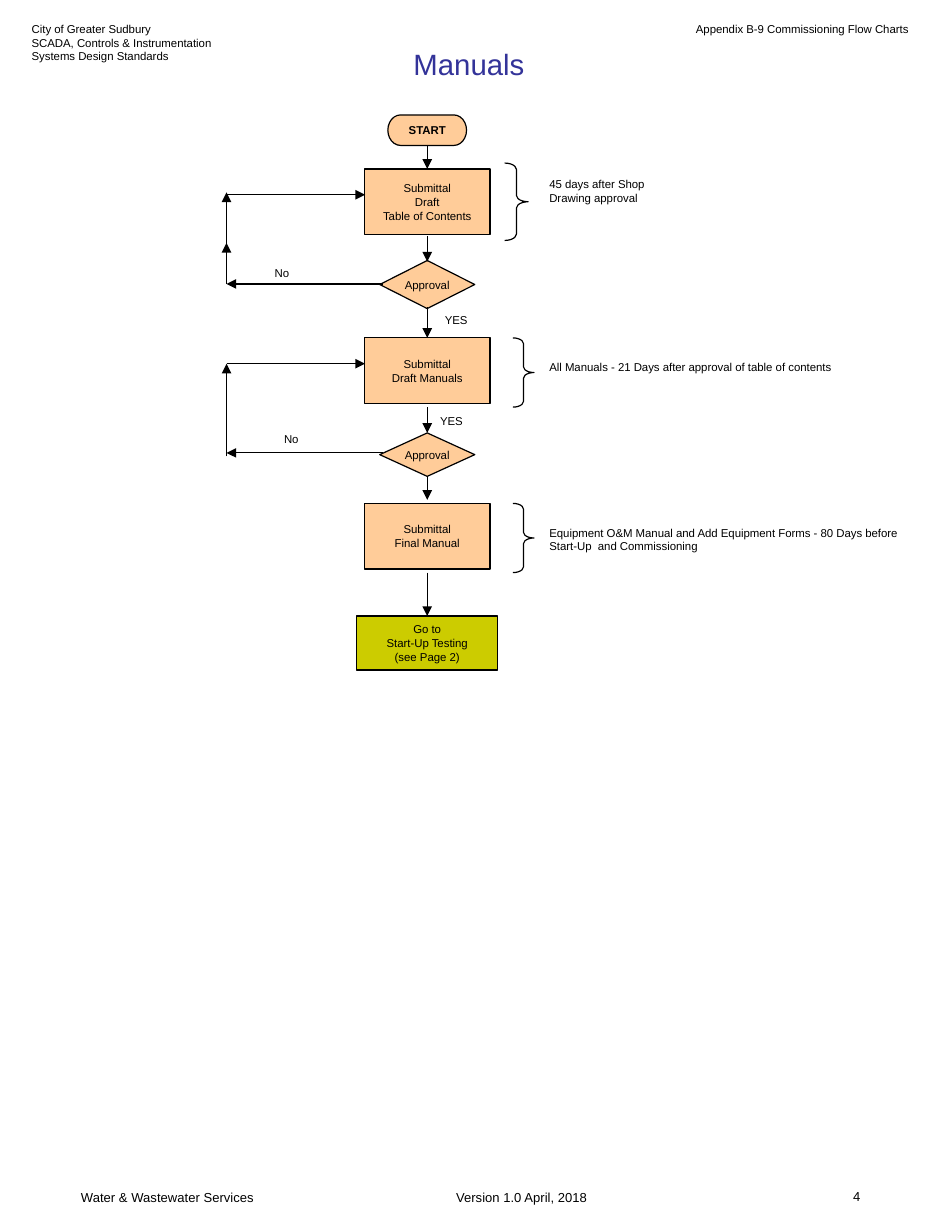
import pptx
import pptx.dml.color
import pptx.enum.shapes
import pptx.enum.text
import pptx.oxml.ns
import pptx.util
from lxml import etree

PX = 9144  # EMU per px, 100 px to the inch
SHAPE = pptx.enum.shapes.MSO_SHAPE
ALIGN = pptx.enum.text.PP_ALIGN
ANCHOR = pptx.enum.text.MSO_ANCHOR
BLACK, PEACH, OLIVE, INDIGO = "000000", "FFCC99", "CCCC00", "333399"
MID = 364  # centre line of the flow
LOOP = 193  # left side of the return loops
NOTE = 459  # left side of the notes
WIDE, NARROW, FOOT = (12, 6), (9, 4), (13, 7)  # text margins


def px(*values):
    return [pptx.util.Emu(v * PX) for v in values]


def color(hex_value):
    return pptx.dml.color.RGBColor.from_string(hex_value)


def set_line(line):
    line.color.rgb = color(BLACK)
    line.width = pptx.util.Pt(0.75)


def write(sp, text, size=7, ink=BLACK, bold=False, align=ALIGN.LEFT,
          anchor=ANCHOR.TOP, margins=WIDE, wrap=True):
    tf = sp.text_frame
    mx, my = px(*margins)
    frame = {"margin_left": mx, "margin_right": mx, "margin_top": my,
             "margin_bottom": my, "word_wrap": wrap, "vertical_anchor": anchor}
    for name, value in frame.items():
        setattr(tf, name, value)
    tf.text = text
    font = {"name": "Arial", "size": pptx.util.Pt(size), "bold": bold}
    for p in tf.paragraphs:
        p.alignment = align
        for r in p.runs:
            for name, value in font.items():
                setattr(r.font, name, value)
            r.font.color.rgb = color(ink)


def add_text(s, x, y, w, h, text, **style):
    write(s.shapes.add_textbox(*px(x, y, w, h)), text, **style)


def add_step(s, kind, y, w, h, text, fill=PEACH, **style):
    """Flow chart step centred on the middle line."""
    sp = s.shapes.add_shape(kind, *px(MID - w / 2, y, w, h))
    sp.shadow.inherit = False
    sp.fill.solid()
    sp.fill.fore_color.rgb = color(fill)
    set_line(sp.line)
    write(sp, text, align=ALIGN.CENTER, anchor=ANCHOR.MIDDLE, wrap=False, **style)


def add_brace(s, x, y, w, h):
    sp = s.shapes.add_shape(SHAPE.RIGHT_BRACE, *px(x, y, w, h))
    sp.shadow.inherit = False
    sp.fill.background()
    set_line(sp.line)
    sp.adjustments[0] = 0.27


def add_arrow(s, x1, y1, x2, y2):
    straight = pptx.enum.shapes.MSO_CONNECTOR.STRAIGHT
    sp = s.shapes.add_connector(straight, *px(x1, y1, x2, y2))
    set_line(sp.line)
    qn = pptx.oxml.ns.qn
    etree.SubElement(sp.line._get_or_add_ln(), qn("a:tailEnd"), type="triangle")
    etree.SubElement(sp._element.spPr, qn("a:effectLst"))


def main():
    prs = pptx.Presentation()
    prs.slide_width, prs.slide_height = px(800, 1050)
    s = prs.slides.add_slide(prs.slide_layouts[6])

    # Title and page header
    add_text(s, 44, 35, 711, 38, "Manuals", size=18, ink=INDIGO,
             align=ALIGN.CENTER, anchor=ANCHOR.MIDDLE)
    add_text(s, 15, 13, 186, 73, "City of Greater Sudbury\v"
             "SCADA, Controls & Instrumentation Systems Design Standards")
    add_text(s, 533, 13, 253, 37, "Appendix B-9 Commissioning Flow Charts",
             align=ALIGN.RIGHT)

    # Steps
    add_step(s, SHAPE.FLOWCHART_TERMINATOR, 98, 67, 26, "START", bold=True)
    for y, text in ((144, "Submittal\nDraft\nTable of Contents"),
                    (288, "Submittal\nDraft Manuals"),
                    (429, "Submittal\nFinal Manual")):
        add_step(s, SHAPE.RECTANGLE, y, 107, 56, text)
    for y, h in ((222, 41), (369, 37)):
        add_step(s, SHAPE.FLOWCHART_DECISION, y, 81, h, "Approval")
    add_step(s, SHAPE.FLOWCHART_PROCESS, 525, 120, 46,
             "Go to\nStart-Up Testing\n(see Page 2)", fill=OLIVE, margins=NARROW)

    # Arrows down the flow
    for top, bottom in ((124, 144), (201, 223), (262, 288), (347, 369),
                        (406, 426), (488, 525)):
        add_arrow(s, MID, top, MID, bottom)

    # Return loops: out of the decision, and back into the step
    for out_y, back_y in ((242, 166), (386, 310)):
        add_arrow(s, 326, out_y, LOOP, out_y)
        add_arrow(s, LOOP, back_y, 311, back_y)
    for bottom, top in ((242, 207), (218, 164), (389, 310)):
        add_arrow(s, LOOP, bottom, LOOP, top)

    # Branch labels
    for x, y, w, text in ((367, 261, 53, "YES"), (363, 347, 53, "YES"),
                          (222, 221, 44, "No"), (230, 362, 44, "No")):
        add_text(s, x, y, w, 24, text)

    # Braces and timing notes
    for x, y, w, h in ((430, 139, 20, 66), (437, 288, 18, 59), (437, 429, 18, 59)):
        add_brace(s, x, y, w, h)
    for y, w, h, text in (
            (147, 100, 33, "45 days after Shop Drawing approval"),
            (303, 274, 21, "All Manuals - 21 Days after approval of table of contents"),
            (444, 319, 34, "Equipment O&M Manual and Add Equipment Forms - "
                           "80 Days before Start-Up  and Commissioning")):
        add_text(s, NOTE, y, w, h, text, margins=NARROW)

    # Page footer
    for x, w, text, align, margins in (
            (56, 278, "Water & Wastewater Services", ALIGN.LEFT, FOOT),
            (333, 223, "Version 1.0 April, 2018", ALIGN.CENTER, FOOT),
            (637, 186, "4", ALIGN.CENTER, WIDE)):
        add_text(s, x, 1007, w, 21, text, size=8, align=align, margins=margins)

    prs.save("out.pptx")


if __name__ == "__main__":
    main()
